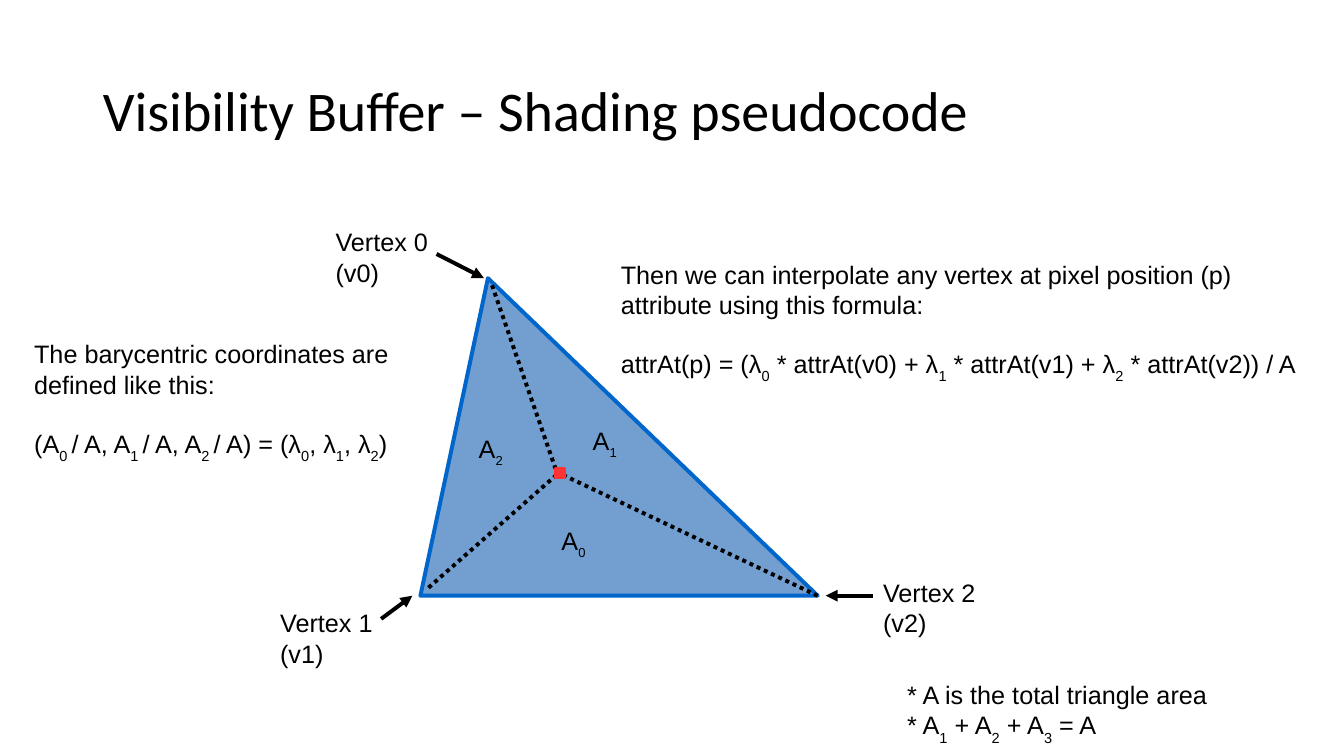
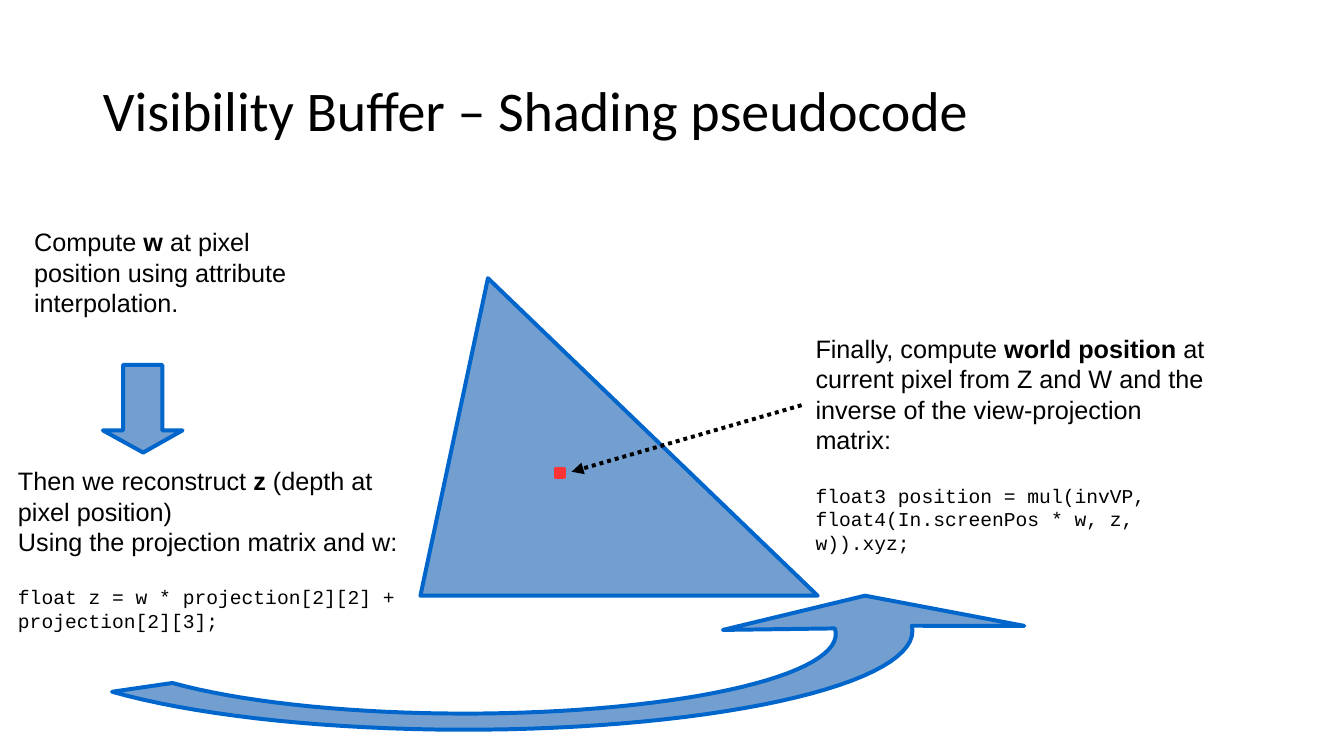
from math import cos, radians, sin

from lxml import etree
from pptx import Presentation
from pptx.dml.color import RGBColor
from pptx.enum.dml import MSO_LINE
from pptx.enum.shapes import MSO_CONNECTOR, MSO_SHAPE
from pptx.enum.text import MSO_ANCHOR, MSO_AUTO_SIZE, PP_ALIGN
from pptx.oxml.ns import qn
from pptx.util import Inches, Pt

BLACK = RGBColor(0x00, 0x00, 0x00)
FILL_BLUE = RGBColor(0x72, 0x9F, 0xCF)
EDGE_BLUE = RGBColor(0x00, 0x66, 0xCC)
PIXEL_RED = RGBColor(0xFF, 0x33, 0x33)
LINE_WIDTH = Pt(2.83)
BLANK_LINE = Pt(20.7)
TITLE = "Visibility Buffer – Shading pseudocode"


def write_text(frame, text, font="Arial", size=18, mark="sub", mark_size=None,
               gap=False, code=False, line_spacing=None):
    """Fill a text frame, one paragraph a line.

    Every second part between bars is marked: lowered ("sub") or bold ("bold").
    The last paragraph can follow a gap and can be set as code.
    """
    frame.word_wrap = True
    frame.auto_size = MSO_AUTO_SIZE.NONE
    lines = text.split("\n")
    for number, line in enumerate(lines):
        paragraph = frame.paragraphs[0] if number == 0 else frame.add_paragraph()
        paragraph.alignment = PP_ALIGN.LEFT
        paragraph.line_spacing = line_spacing
        last = number == len(lines) - 1
        if gap and last:
            paragraph.space_before = BLANK_LINE
        for position, part in enumerate(line.split("|")):
            run = paragraph.add_run()
            run.text = part
            run.font.name = "Courier New" if code and last else font
            run.font.size = Pt(14 if code and last else size)
            run.font.color.rgb = BLACK
            if position % 2 and mark == "bold":
                run.font.bold = True
            elif position % 2:
                run.font.size = Pt(mark_size or size)
                run.font._element.set("baseline", "-33000")


def arc(center_x, center_y, radius_x, radius_y, start, end, steps=48):
    """Return points along an ellipse, with angles in degrees, clockwise."""
    angles = [radians(start + (end - start) * i / steps) for i in range(steps + 1)]
    return [(center_x + radius_x * cos(a), center_y + radius_y * sin(a)) for a in angles]


triangle = [(4.84, 2.76), (8.11, 5.91), (4.17, 5.91)]
down_arrow = [(1.22, 3.62), (1.22, 4.27), (1.02, 4.27), (1.42, 4.49),
              (1.81, 4.27), (1.61, 4.27), (1.61, 3.62)]
curved_arrow = (arc(4.61, 6.29, 3.68, 0.79, -4, 142)
                + arc(4.61, 6.26, 4.44, 0.98, 142, -3)
                + [(10.16, 6.21), (8.58, 5.91), (7.17, 6.25)])

# Lines: from, to, dotted, arrowhead. Texts: left, top, width, height, text, format.
slides = [
    {
        "outlines": [triangle],
        "lines": [
            ((4.33, 2.52), (4.8, 2.76), False, True),
            ((3.78, 6.14), (4.09, 5.91), False, True),
            ((8.66, 5.91), (8.19, 5.91), False, True),
            ((8.11, 5.91), (5.6, 4.72), True, False),
            ((4.25, 5.83), (5.51, 4.72), True, False),
            ((4.88, 2.83), (5.51, 4.65), True, False),
        ],
        "texts": [
            (3.23, 2.2, 1.18, 0.66, "Vertex 0\n(v0)", {}),
            (2.68, 5.98, 1.18, 0.66, "Vertex 1\n(v1)", {}),
            (8.66, 5.68, 1.18, 0.66, "Vertex 2\n(v2)", {}),
            (0.24, 3.31, 4.02, 1.81,
             "The barycentric coordinates are defined like this:\n"
             "(A|0 |/ A, A|1 |/ A, A|2 |/ A) = (λ|0|, λ|1|, λ|2|)", {"gap": True}),
            (4.65, 4.25, 0.47, 0.43, "A|2", {"mark_size": 16}),
            (5.47, 5.16, 0.78, 0.52, "A|0", {"mark_size": 16}),
            (5.78, 4.17, 0.59, 0.55, "A|1", {"mark_size": 16}),
            (6.06, 2.52, 6.93, 1.81,
             "Then we can interpolate any vertex at pixel position (p) "
             "attribute using this formula:\n"
             "attrAt(p) = (λ|0| * attrAt(v0) + λ|1| * attrAt(v1) + λ|2| * attrAt(v2)) / A",
             {"gap": True}),
            (8.9, 6.69, 4.17, 0.72,
             "* A is the total triangle area\n* A|1| + A|2| + A|3| = A", {}),
        ],
    },
    {
        "outlines": [triangle, down_arrow, curved_arrow],
        "lines": [((7.95, 4.02), (5.67, 4.68), True, True)],
        "texts": [
            (0.24, 2.2, 2.91, 1.57,
             "Compute |w| at pixel position using attribute interpolation.",
             {"mark": "bold"}),
            (0.08, 4.57, 4.02, 2.4,
             "Then we reconstruct |z| (depth at pixel position)\n"
             "Using the projection matrix and w:\n"
             "float z = w * projection[2][2] + projection[2][3];",
             {"mark": "bold", "gap": True, "code": True}),
            (7.99, 3.26, 4.21, 2.96,
             "Finally, compute |world position| at current pixel from Z and W "
             "and the inverse of the view-projection matrix:\n"
             "float3 position = mul(invVP, float4(In.screenPos * w, z, w)).xyz;",
             {"mark": "bold", "gap": True, "code": True}),
        ],
    },
]

prs = Presentation()
prs.slide_width, prs.slide_height = Inches(13.33), Inches(7.5)

for content in slides:
    slide = prs.slides.add_slide(prs.slide_layouts[5])
    shapes = slide.shapes
    title = shapes.title
    title.left, title.top = Inches(0.92), Inches(0.4)
    title.width, title.height = Inches(11.5), Inches(1.45)
    title.text_frame.vertical_anchor = MSO_ANCHOR.MIDDLE
    write_text(title.text_frame, TITLE, font="Calibri", size=40, line_spacing=0.9)

    for outline in content["outlines"]:
        corners = [(Inches(x), Inches(y)) for x, y in outline]
        builder = shapes.build_freeform(*corners[0])
        builder.add_line_segments(corners[1:], close=True)
        figure = builder.convert_to_shape()
        figure.shadow.inherit = False
        figure.fill.solid()
        figure.fill.fore_color.rgb = FILL_BLUE
        figure.line.color.rgb = EDGE_BLUE
        figure.line.width = LINE_WIDTH

    for start, end, dotted, arrowhead in content["lines"]:
        line = shapes.add_connector(MSO_CONNECTOR.STRAIGHT,
                                    *[Inches(value) for value in start + end])
        line.line.color.rgb = BLACK
        line.line.width = LINE_WIDTH
        if dotted:
            line.line.dash_style = MSO_LINE.ROUND_DOT
        if arrowhead:
            etree.SubElement(line.line._get_or_add_ln(), qn("a:tailEnd"), type="triangle")
        etree.SubElement(line._element.spPr, qn("a:effectLst"))

    pixel = shapes.add_shape(MSO_SHAPE.RECTANGLE, Inches(5.51), Inches(4.65),
                             Inches(0.08), Inches(0.08))
    pixel.shadow.inherit = False
    pixel.fill.solid()
    pixel.fill.fore_color.rgb = PIXEL_RED
    pixel.line.color.rgb = PIXEL_RED
    pixel.line.width = LINE_WIDTH

    for left, top, width, height, text, text_format in content["texts"]:
        box = shapes.add_textbox(Inches(left), Inches(top), Inches(width), Inches(height))
        write_text(box.text_frame, text, **text_format)

prs.save("out.pptx")
